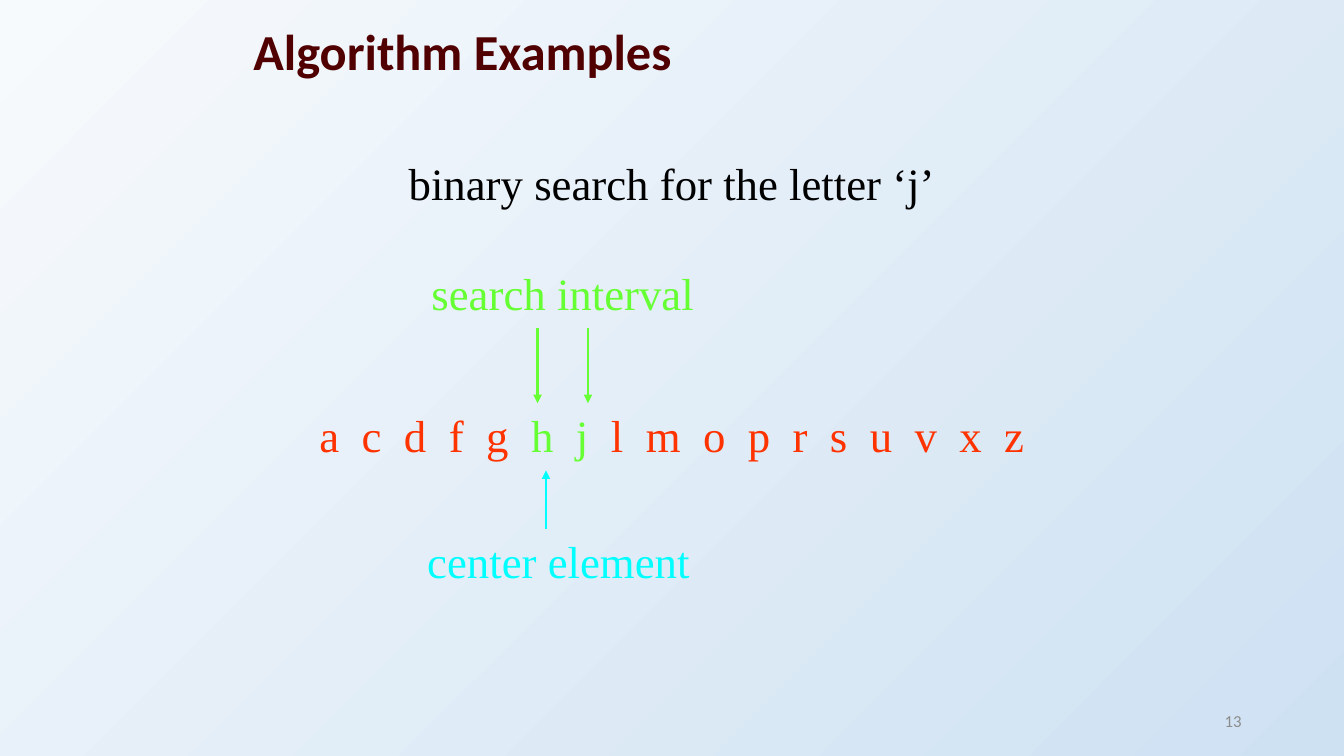
import dataclasses

import pptx
import pptx.dml.color
import pptx.enum.dml
import pptx.enum.shapes
import pptx.enum.text
import pptx.oxml.ns
import pptx.util
from lxml import etree

ALIGN = pptx.enum.text.PP_ALIGN
ANCHOR = pptx.enum.text.MSO_ANCHOR

# The grid has square cells of a twelfth of an inch.
CELL = pptx.util.Inches(1) / 12
COLUMNS, ROWS = 160, 90
LABEL_ROWS = 7.68


@dataclasses.dataclass(frozen=True)
class Theme:
    heading_font: str = "Calibri"
    body_font: str = "Times New Roman"
    title_size: int = 36
    body_size: int = 32
    number_size: int = 12
    arrow_width: int = 2
    title: str = "500000"
    text: str = "000000"
    number: str = "8C8C8C"
    outside: str = "FF3300"
    interval: str = "66FF33"
    center: str = "00FFFF"
    background: tuple = ("F7FAFD", "CEE1F2")


THEME = Theme()


def cells(count):
    return round(count * CELL)


def rgb(color):
    return pptx.dml.color.RGBColor.from_string(color)


def paint_background(slide):
    fill = slide.background.fill
    fill.gradient()
    fill.gradient_angle = 315
    for stop, color in zip(fill.gradient_stops, THEME.background):
        stop.color.rgb = rgb(color)


def add_text(slide, box, pieces, font, size, align, anchor, bold=False):
    """Add one paragraph; box is in grid cells, pieces are (text, color) pairs."""
    shape = slide.shapes.add_textbox(*map(cells, box))
    frame = shape.text_frame
    frame.word_wrap = True
    frame.vertical_anchor = anchor
    paragraph = frame.paragraphs[0]
    paragraph.alignment = align
    for text, color in pieces:
        run = paragraph.add_run()
        run.text = text
        run.font.name = font
        run.font.size = pptx.util.Pt(size)
        run.font.bold = bold
        run.font.color.rgb = rgb(color)
    return paragraph


def add_label(slide, column, row, width, *pieces):
    add_text(slide, (column, row, width, LABEL_ROWS), pieces,
             THEME.body_font, THEME.body_size, ALIGN.CENTER, ANCHOR.TOP)


def add_arrow(slide, column, start_row, end_row, color):
    """Add a vertical arrow that points at end_row."""
    arrow = slide.shapes.add_connector(
        pptx.enum.shapes.MSO_CONNECTOR.STRAIGHT,
        cells(column), cells(start_row), cells(column), cells(end_row))
    arrow.line.color.rgb = rgb(color)
    arrow.line.width = pptx.util.Pt(THEME.arrow_width)
    qualified = pptx.oxml.ns.qn
    properties = arrow.element.spPr
    line = properties.find(qualified("a:ln"))
    etree.SubElement(line, qualified("a:tailEnd"), type="triangle")
    etree.SubElement(properties, qualified("a:effectLst"))


def add_heading(slide, text):
    paragraph = add_text(slide, (29, 2, 102, 9), [(text, THEME.title)],
                         THEME.heading_font, THEME.title_size,
                         ALIGN.LEFT, ANCHOR.MIDDLE, bold=True)
    paragraph.line_spacing = 0.9


def add_slide_number(slide, number):
    add_text(slide, (113, 83.4, 36, 4.8), [(str(number), THEME.number)],
             THEME.heading_font, THEME.number_size, ALIGN.RIGHT, ANCHOR.MIDDLE)


def add_letters(slide, before, interval, after):
    """Write the sorted letters with the search interval in its own colour."""
    gap = "  "
    add_label(slide, 31, 48, 98,
              (gap.join(before), THEME.outside),
              (gap + gap.join(interval) + gap, THEME.interval),
              (gap.join(after), THEME.outside))


def main():
    presentation = pptx.Presentation()
    presentation.slide_width = cells(COLUMNS)
    presentation.slide_height = cells(ROWS)
    slide = presentation.slides.add_slide(presentation.slide_layouts[6])

    paint_background(slide)
    add_heading(slide, "Algorithm Examples")
    add_slide_number(slide, 13)
    add_letters(slide, "acdfg", "hj", "lmoprsuvxz")
    add_label(slide, 31, 18, 98, ("binary search for the letter ‘j’", THEME.text))
    for column in (70, 64):
        add_arrow(slide, column, 39, 48, THEME.interval)
    add_label(slide, 48, 63, 37, ("center element", THEME.center))
    add_arrow(slide, 65, 63, 56, THEME.center)
    add_label(slide, 49, 31, 36, ("search interval", THEME.interval))

    presentation.save("out.pptx")


if __name__ == "__main__":
    main()
